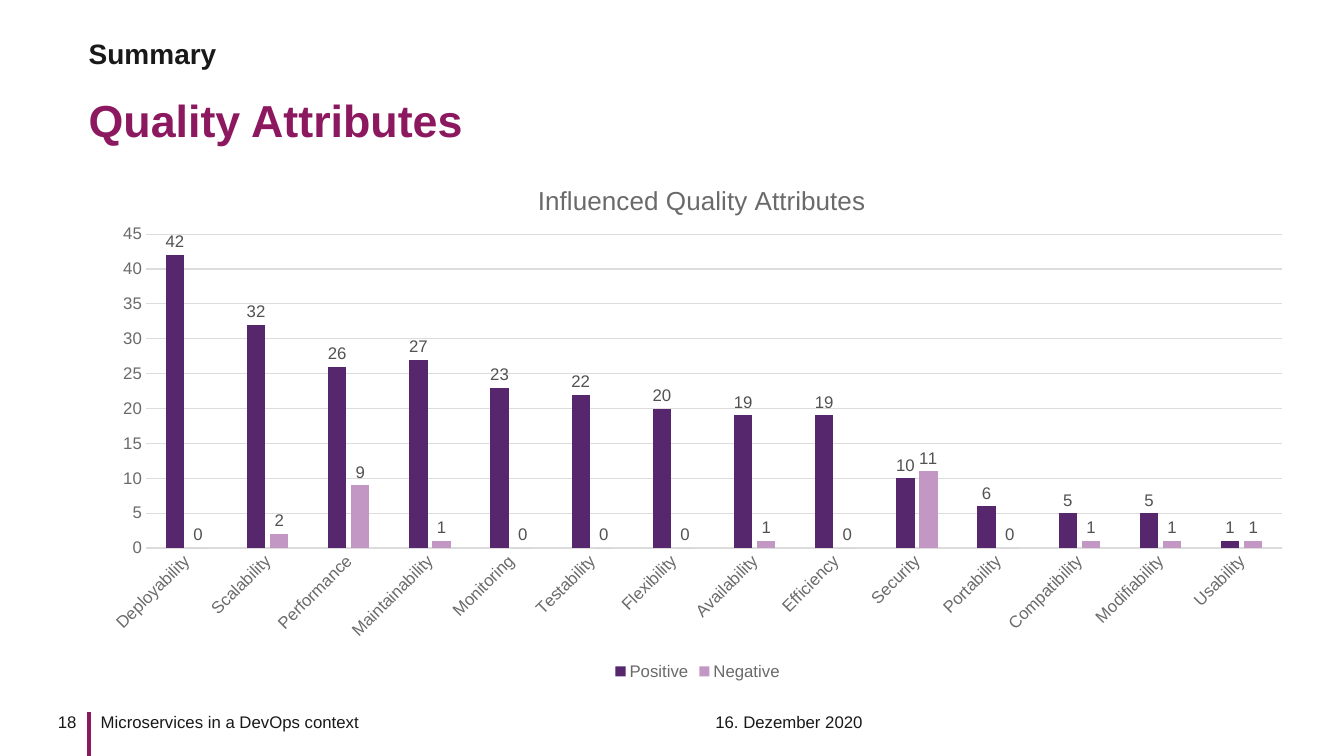
from lxml import etree
from pptx import Presentation
from pptx.chart.data import CategoryChartData
from pptx.dml.color import RGBColor
from pptx.enum.chart import XL_CHART_TYPE as CT, XL_LABEL_POSITION as LP
from pptx.enum.chart import XL_LEGEND_POSITION as LEG, XL_TICK_MARK as TICK
from pptx.enum.shapes import MSO_CONNECTOR as CONN
from pptx.enum.text import MSO_ANCHOR as ANC, MSO_AUTO_SIZE as AUTO, PP_ALIGN as AL
from pptx.oxml import parse_xml
from pptx.oxml.ns import nsdecls, qn
from pptx.util import Inches, Pt

THEME = dict(
    font="Arial", ink="191919", accent="8C195F", axis="6A6A6A", label="525252",
    grid="DCDCDC", positive="56276D", negative="C397C4",
    title=32, kicker=20, chart_title=18.6, small=12,
)
W, H = 13.34, 7.5
LEFT, WIDTH = 0.88, 12.09
FOOT, PAD = 7.06, 0.12


def style(font, size, color, bold=False):
    font.name, font.size, font.bold = THEME["font"], Pt(THEME[size]), bold
    font.color.rgb = RGBColor.from_string(THEME[color])


def set_layout(parent, index, **shares):
    """Place a chart part by shares of the chart's size."""
    old = parent.find(qn("c:layout"))
    if old is not None:
        parent.remove(old)
    layout = parse_xml(f'<c:layout {nsdecls("c")}><c:manualLayout/></c:layout>')
    for tag, val in shares.items():
        etree.SubElement(layout[0], qn(f"c:{tag}")).set("val", str(val))
    parent.insert(index, layout)


prs = Presentation()
prs.slide_width, prs.slide_height = Inches(W), Inches(H)
s = prs.slides.add_slide(prs.slide_layouts[5])

# Footer rule
rule = s.shapes.add_connector(CONN.STRAIGHT, Inches(LEFT), Inches(FOOT), Inches(LEFT), Inches(H))
rule.line.color.rgb = RGBColor.from_string(THEME["accent"])
rule.line.width = Pt(3)
etree.SubElement(rule._element.spPr, qn("a:effectLst"))

# Title, line above it and footer texts
texts = [
    # text, box, left inset, right inset, size, color, bold, anchor, align
    ("Quality Attributes", (LEFT, 0.76, WIDTH, 0.75), 0, 0, "title", "accent", True, ANC.MIDDLE, AL.LEFT),
    ("Summary", (LEFT, 0.37, WIDTH, 0.31), 0, 0, "kicker", "ink", True, ANC.MIDDLE, AL.LEFT),
    ("16. Dezember 2020", (7.1, FOOT, 3.69, 0.2), 0, 0, "small", "ink", False, ANC.TOP, AL.LEFT),
    ("Microservices in a DevOps context", (LEFT, FOOT, 5.87, 0.36), PAD, 0, "small", "ink", False, ANC.TOP, AL.LEFT),
    ("18", (0.29, FOOT, 0.59, 0.2), 0, PAD, "small", "ink", False, ANC.TOP, AL.RIGHT),
]
for text, box, ml, mr, size, color, bold, anchor, align in texts:
    box = [Inches(v) for v in box]
    if size == "title":
        sp = s.shapes.title
        sp.left, sp.top, sp.width, sp.height = box
    else:
        sp = s.shapes.add_textbox(*box)
    tf = sp.text_frame
    tf.word_wrap, tf.auto_size, tf.vertical_anchor = True, AUTO.NONE, anchor
    tf.margin_left, tf.margin_right = Inches(ml), Inches(mr)
    tf.margin_top = tf.margin_bottom = 0
    p = tf.paragraphs[0]
    p.text, p.alignment = text, align
    style(p.font, size, color, bold)
s.shapes.title.text_frame.paragraphs[0].line_spacing = 1.2

# Chart data: attribute, positive, negative
ratings = [
    ("Deployability", 42, 0), ("Scalability", 32, 2), ("Performance", 26, 9),
    ("Maintainability", 27, 1), ("Monitoring", 23, 0), ("Testability", 22, 0),
    ("Flexibility", 20, 0), ("Availability", 19, 1), ("Efficiency", 19, 0),
    ("Security", 10, 11), ("Portability", 6, 0), ("Compatibility", 5, 1),
    ("Modifiability", 5, 1), ("Usability", 1, 1),
]
names, positive, negative = zip(*ratings)
data = CategoryChartData()
data.categories = names
data.add_series("Positive", positive)
data.add_series("Negative", negative)
chart = s.shapes.add_chart(
    CT.COLUMN_CLUSTERED, Inches(LEFT), Inches(1.59), Inches(WIDTH), Inches(5.2), data).chart
style(chart.font, "small", "axis")

# Chart title and legend
tf = chart.chart_title.text_frame
tf.text = "Influenced Quality Attributes"
style(tf.paragraphs[0].font, "chart_title", "axis")
set_layout(chart.chart_title._element, 1, xMode="edge", yMode="edge", x=0.365, y=0.035)
chart.has_legend = True
chart.legend.position, chart.legend.include_in_layout = LEG.BOTTOM, False
style(chart.legend.font, "small", "axis")

# Columns and their labels
plot = chart.plots[0]
plot.gap_width, plot.overlap, plot.vary_by_categories = 219, -27, False
for series, color in zip(plot.series, ("positive", "negative")):
    series.format.fill.solid()
    series.format.fill.fore_color.rgb = RGBColor.from_string(THEME[color])
    labels = series.data_labels
    labels.show_value, labels.position = True, LP.OUTSIDE_END
    style(labels.font, "small", "label")
set_layout(chart._chartSpace.chart.plotArea, 0, layoutTarget="inner", xMode="edge",
           yMode="edge", x=0.047, y=0.141, w=0.933, h=0.599)

# Axes
cat, val = chart.category_axis, chart.value_axis
for axis in (cat, val):
    axis.major_tick_mark = axis.minor_tick_mark = TICK.NONE
    style(axis.tick_labels.font, "small", "axis")
val.minimum_scale, val.maximum_scale, val.major_unit = 0, 45, 5
val.format.line.fill.background()
for line in (cat.format.line, val.major_gridlines.format.line):
    line.color.rgb = RGBColor.from_string(THEME["grid"])
    line.width = Pt(0.75)
cat._element.find(qn("c:txPr")).find(qn("a:bodyPr")).set("rot", str(-45 * 60000))

prs.save("out.pptx")
